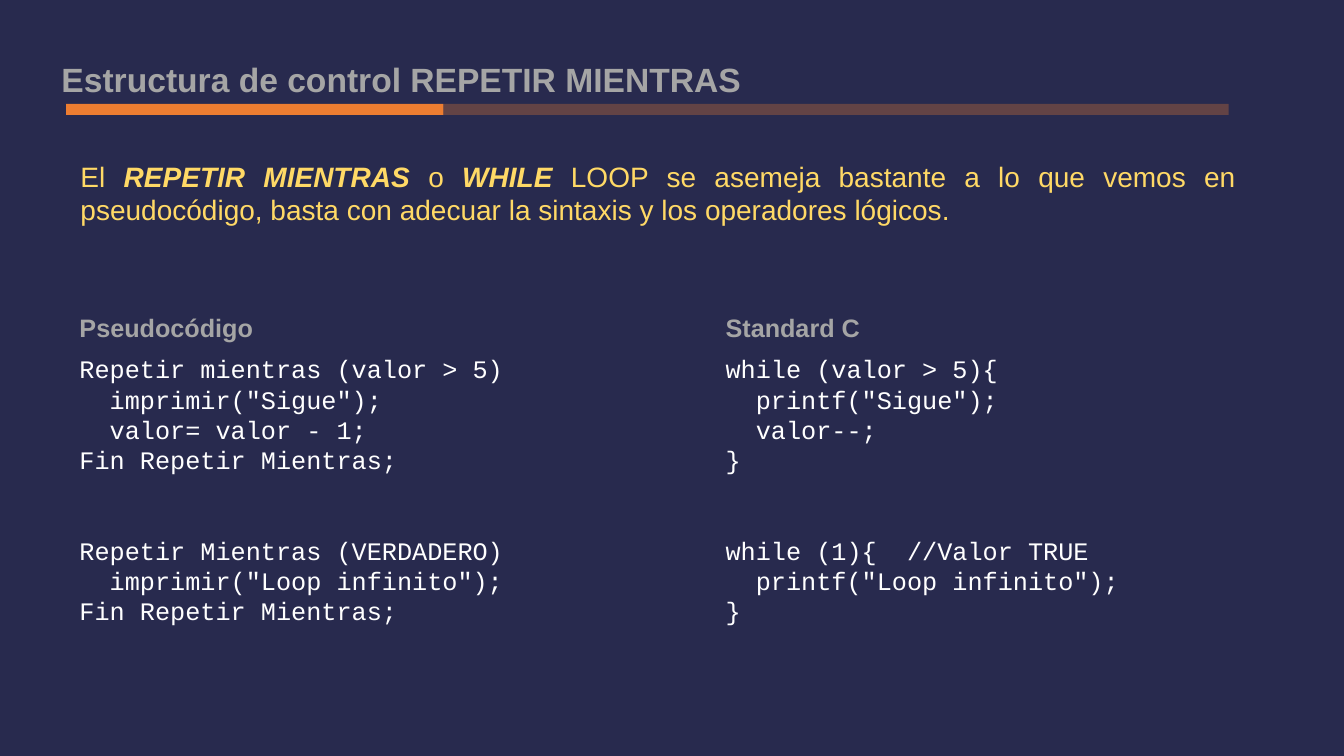
from pptx import Presentation
from pptx import util as u
from pptx.dml import color
from pptx.enum import shapes, text
from pptx.oxml import xmlchemy
from pptx.oxml.ns import qn
from lxml import etree

COLORS = {"background": "282A4E", "orange": "ED7D31", "heading": "A5A5A5",
          "intro": "FFD966", "code": "FFFFFF"}
INDENT = 21.6
BLOCK_GAP = 43.2
INTRO = [("El ", False), ("REPETIR MIENTRAS ", True), ("o ", False), ("WHILE", True),
         (" LOOP se asemeja bastante a lo que vemos en pseudocódigo, "
          "basta con adecuar la sintaxis y los operadores lógicos.", False)]
COLUMNS = [
    (49.7, 386, "Pseudocódigo", [
        [(0, "Repetir mientras (valor > 5)"), (1, 'imprimir("Sigue");'),
         (1, "valor= valor - 1;"), (0, "Fin Repetir Mientras;")],
        [(0, "Repetir Mientras (VERDADERO)"), (1, 'imprimir("Loop infinito");'),
         (0, "Fin Repetir Mientras;")]]),
    (511.2, 397.5, "Standard C", [
        [(0, "while (valor > 5){"), (1, 'printf("Sigue");'), (1, "valor--;"), (0, "}")],
        [(0, "while (1){  //Valor TRUE"), (1, 'printf("Loop infinito");'), (0, "}")]]),
]


def rgb(name):
    return color.RGBColor.from_string(COLORS[name])


def format_run(run, size, color_name, font="Arial", bold=False, italic=False):
    run.font.size = u.Pt(size)
    run.font.name = font
    run.font.color.rgb = rgb(color_name)
    run.font.bold = bold
    run.font.italic = italic


def prepare_frame(shape):
    frame = shape.text_frame
    frame.word_wrap = True
    frame.auto_size = text.MSO_AUTO_SIZE.NONE
    frame.vertical_anchor = text.MSO_ANCHOR.TOP
    return frame


def add_box(slide, left, top, width, height):
    return prepare_frame(slide.shapes.add_textbox(*map(u.Pt, (left, top, width, height))))


def set_title(slide, wording):
    title = slide.shapes.title
    title.left, title.top, title.width, title.height = map(u.Pt, (36.7, 38.2, 524.2, 36))
    frame = prepare_frame(title)
    frame.text = wording
    frame.paragraphs[0].alignment = text.PP_ALIGN.LEFT
    format_run(frame.paragraphs[0].runs[0], 24, "heading", bold=True)


def add_bar(slide, left, width, opacity=100):
    bar = slide.shapes.add_shape(shapes.MSO_SHAPE.RECTANGLE,
                                 *map(u.Pt, (left, 74.2, width, 7.9)))
    bar.shadow.inherit = False
    bar.fill.solid()
    bar.fill.fore_color.rgb = rgb("orange")
    bar.line.fill.background()
    if opacity < 100:
        fill_color = bar.fill._xPr.find(qn("a:solidFill"))[0]
        etree.SubElement(fill_color, qn("a:alpha")).set("val", str(opacity * 1000))


def add_intro(slide):
    paragraph = add_box(slide, 50.4, 110.2, 839.5, 55.4).paragraphs[0]
    paragraph.alignment = text.PP_ALIGN.JUSTIFY
    for wording, strong in INTRO:
        run = paragraph.add_run()
        run.text = wording
        format_run(run, 20, "intro", bold=strong, italic=strong)


def add_heading(slide, left, wording):
    frame = add_box(slide, left, 219.6, 238.3, 28.8)
    frame.text = wording
    format_run(frame.paragraphs[0].runs[0], 18, "heading", bold=True)


def add_code(slide, left, width, blocks):
    frame = add_box(slide, left, 249.1, width, 203.8)
    lines = [(block, row, level, code) for block, rows in enumerate(blocks)
             for row, (level, code) in enumerate(rows)]
    for number, (block, row, level, code) in enumerate(lines):
        paragraph = frame.add_paragraph() if number else frame.paragraphs[0]
        paragraph.text = code
        if level:
            paragraph._p.get_or_add_pPr().set("marL", str(u.Pt(INDENT * level)))
        if block and row == 0:
            paragraph.space_before = u.Pt(BLOCK_GAP)
        format_run(paragraph.runs[0], 18, "code", font="Courier New")


def main():
    presentation = Presentation()
    presentation.slide_width, presentation.slide_height = u.Pt(960), u.Pt(540)
    slide = presentation.slides.add_slide(presentation.slide_layouts[5])
    slide.background.fill.solid()
    slide.background.fill.fore_color.rgb = rgb("background")
    set_title(slide, "Estructura de control REPETIR MIENTRAS")
    add_bar(slide, 47.2, 269.5)
    add_bar(slide, 316.7, 561, opacity=30)
    add_intro(slide)
    for left, width, heading, blocks in COLUMNS:
        add_heading(slide, left, heading)
        add_code(slide, left, width, blocks)
    presentation.save("out.pptx")


if __name__ == "__main__":
    main()
